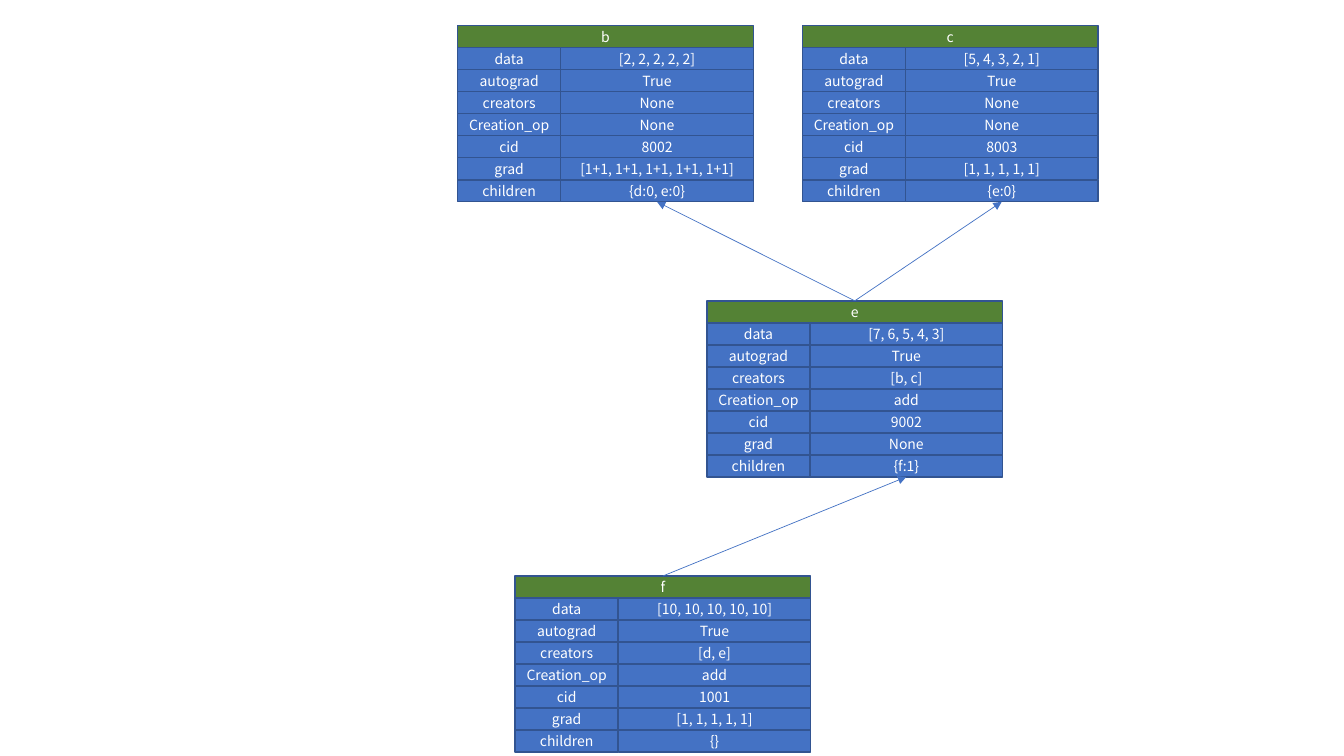
from dataclasses import dataclass

from lxml.etree import SubElement
from pptx import Presentation
from pptx.dml.color import RGBColor
from pptx.enum.shapes import MSO_CONNECTOR, MSO_SHAPE
from pptx.enum.text import MSO_ANCHOR, PP_ALIGN
from pptx.oxml.ns import qn
from pptx.shapes.autoshape import Shape
from pptx.slide import Slide
from pptx.util import Inches, Pt

SLIDE_WIDTH, SLIDE_HEIGHT = Inches(13.333), Inches(7.5)
COLUMN = SLIDE_WIDTH / 100
ROW = SLIDE_HEIGHT / 34.35
LABEL_COLUMNS, TENSOR_COLUMNS = 7.67, 22
FIRST_ROW, LEVEL_ROWS = 1.17, 12.5
TOP, BOTTOM = 0, 2

FONT = "Noto Sans CJK SC"
COLORS = {
    "header": "548235",
    "cell": "4472C4",
    "border": "325491",
    "text": "FFFFFF",
    "arrow": "4472C4",
}
LABELS = ("data", "autograd", "creators", "Creation_op", "cid", "grad", "children")


@dataclass(frozen=True)
class Tensor:
    name: str
    column: float
    level: int
    values: tuple[str, ...]


@dataclass(frozen=True)
class TensorBoxes:
    header: Shape
    children: Shape


TENSORS = (
    Tensor("b", 34.05, 0, ("[2, 2, 2, 2, 2]", "True", "None", "None", "8002",
                           "[1+1, 1+1, 1+1, 1+1, 1+1]", "{d:0, e:0}")),
    Tensor("c", 59.7, 0, ("[5, 4, 3, 2, 1]", "True", "None", "None", "8003",
                          "[1, 1, 1, 1, 1]", "{e:0}")),
    Tensor("e", 52.6, 1, ("[7, 6, 5, 4, 3]", "True", "[b, c]", "add", "9002",
                          "None", "{f:1}")),
    Tensor("f", 38.33, 2, ("[10, 10, 10, 10, 10]", "True", "[d, e]", "add", "1001",
                           "[1, 1, 1, 1, 1]", "{}")),
)
CREATOR_LINKS = (("e", "b"), ("e", "c"), ("f", "e"))


def color(name: str) -> RGBColor:
    return RGBColor.from_string(COLORS[name])


def add_cell(page: Slide, text: str, column: float, row: float,
             columns: float, fill: str = "cell") -> Shape:
    """Draw a one-row box at a grid position."""
    box = page.shapes.add_shape(
        MSO_SHAPE.RECTANGLE, round(column * COLUMN), round(row * ROW),
        round(columns * COLUMN), round(ROW))
    box.shadow.inherit = False
    box.fill.solid()
    box.fill.fore_color.rgb = color(fill)
    box.line.color.rgb = color("border")
    box.line.width = Pt(1)

    frame = box.text_frame
    frame.margin_left = frame.margin_right = 0
    frame.margin_top = frame.margin_bottom = 0
    frame.vertical_anchor = MSO_ANCHOR.MIDDLE
    frame.text = text
    para = frame.paragraphs[0]
    para.alignment = PP_ALIGN.CENTER
    for span in para.runs:
        span.font.name = FONT
        span.font.size = Pt(10)
        span.font.color.rgb = color("text")
    return box


def add_tensor(page: Slide, tensor: Tensor) -> TensorBoxes:
    top = FIRST_ROW + tensor.level * LEVEL_ROWS
    header = add_cell(page, tensor.name, tensor.column, top, TENSOR_COLUMNS, "header")
    for row, (label, value) in enumerate(zip(LABELS, tensor.values), start=1):
        add_cell(page, label, tensor.column, top + row, LABEL_COLUMNS)
        value_box = add_cell(page, value, tensor.column + LABEL_COLUMNS, top + row,
                             TENSOR_COLUMNS - LABEL_COLUMNS)
    return TensorBoxes(header, value_box)


def add_creator_arrow(page: Slide, tensor: TensorBoxes, creator: TensorBoxes) -> None:
    arrow = page.shapes.add_connector(MSO_CONNECTOR.STRAIGHT, 0, 0, 0, 0)
    arrow.begin_connect(tensor.header, TOP)
    arrow.end_connect(creator.children, BOTTOM)
    arrow.line.color.rgb = color("arrow")
    arrow.line.width = Pt(0.5)
    SubElement(arrow.line._get_or_add_ln(), qn("a:tailEnd"), type="triangle")
    SubElement(arrow._element.spPr, qn("a:effectLst"))


def main() -> None:
    deck = Presentation()
    deck.slide_width, deck.slide_height = SLIDE_WIDTH, SLIDE_HEIGHT
    page = deck.slides.add_slide(deck.slide_layouts[6])
    boxes = {tensor.name: add_tensor(page, tensor) for tensor in TENSORS}
    for name, creator in CREATOR_LINKS:
        add_creator_arrow(page, boxes[name], boxes[creator])
    deck.save("out.pptx")


if __name__ == "__main__":
    main()
